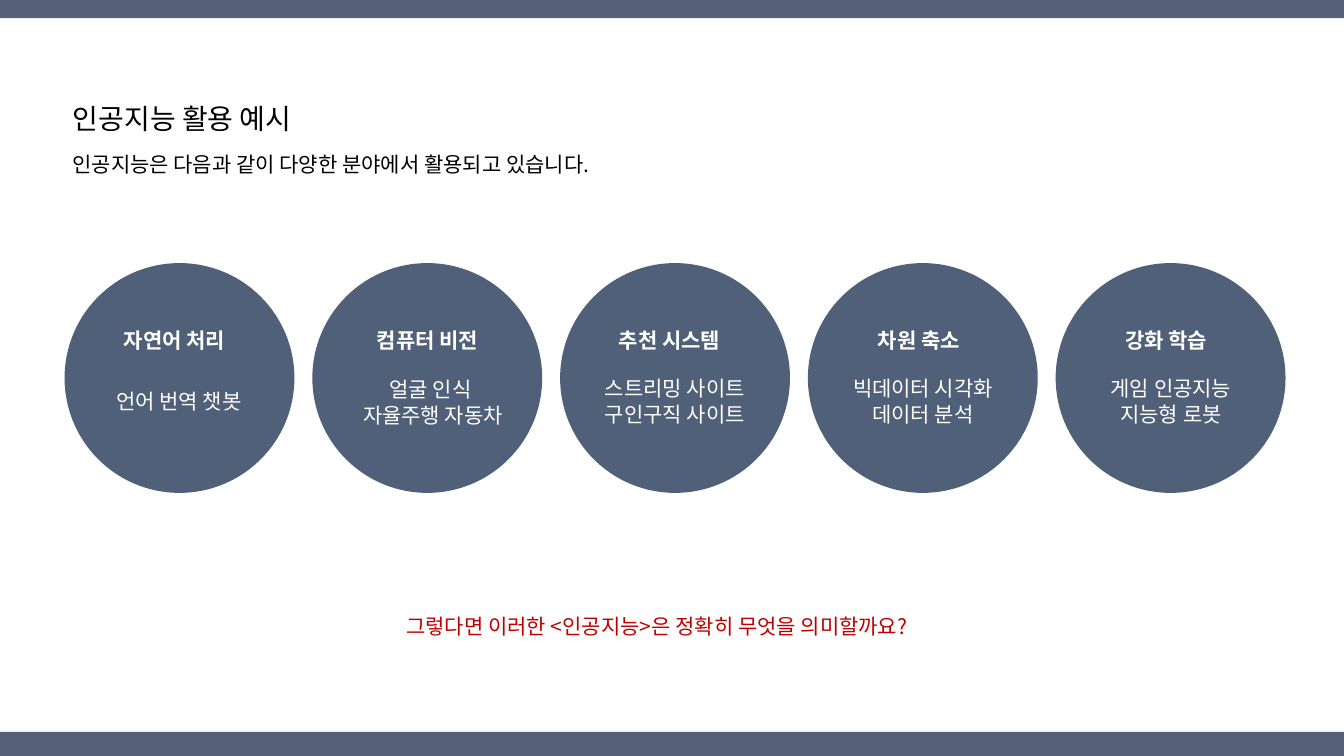
from pptx import Presentation
from pptx.dml.color import RGBColor
from pptx.enum.shapes import MSO_SHAPE
from pptx.enum.text import MSO_ANCHOR, MSO_AUTO_SIZE, PP_ALIGN
from pptx.oxml.ns import qn
from pptx.util import Inches, Pt
from lxml.etree import SubElement

FONT = "Noto Sans CJK KR"
WHITE = "FFFFFF"
BLACK = "000000"
RED = "C00000"
BAR_COLOR = "556078"
CIRCLE_COLOR = "506078"
CIRCLE_LEFT, CIRCLE_TOP, CIRCLE_SIZE, CIRCLE_PITCH = 0.64, 2.61, 2.28, 2.4575

FIELDS = [
    ("자연어 처리", (1.13, 3.2, 1.3, 0.35),
     ["언어 번역 챗봇"], (0.96, 3.81, 1.63, 0.35)),
    ("컴퓨터 비전", (3.64, 3.2, 1.3, 0.35),
     ["얼굴 인식 ", "자율주행 자동차"], (3.46, 3.69, 1.67, 0.61)),
    ("추천 시스템", (6.04, 3.2, 1.3, 0.35),
     ["스트리밍 사이트", "구인구직 사이트"], (5.86, 3.68, 1.67, 0.61)),
    ("차원 축소", (8.61, 3.2, 1.1, 0.35),
     ["빅데이터 시각화", "데이터 분석"], (8.32, 3.68, 1.67, 0.61)),
    ("강화 학습", (11.06, 3.2, 1.1, 0.35),
     ["게임 인공지능", "지능형 로봇"], (10.88, 3.68, 1.47, 0.61)),
]


def color(hex_string):
    return RGBColor.from_string(hex_string)


def add_filled_shape(slide, kind, box, fill):
    shape = slide.shapes.add_shape(kind, *map(Inches, box))
    shape.shadow.inherit = False
    shape.fill.solid()
    shape.fill.fore_color.rgb = color(fill)
    shape.line.fill.background()


def write_lines(shape, lines, size, text_color, bold=False, alignment=PP_ALIGN.LEFT):
    frame = shape.text_frame
    frame.word_wrap = False
    frame.auto_size = MSO_AUTO_SIZE.SHAPE_TO_FIT_TEXT
    frame.vertical_anchor = MSO_ANCHOR.TOP
    for index, line in enumerate(lines):
        paragraph = frame.add_paragraph() if index else frame.paragraphs[0]
        paragraph.alignment = alignment
        run = paragraph.add_run()
        run.text = line
        run.font.size = Pt(size)
        run.font.bold = bold
        run.font.color.rgb = color(text_color)
        run.font.name = FONT
        SubElement(run.font._element, qn("a:ea"), typeface=FONT)


def add_text(slide, box, lines, text_color, **style):
    text_box = slide.shapes.add_textbox(*map(Inches, box))
    write_lines(text_box, lines, 15, text_color, **style)


def set_title(slide, box, text):
    title = slide.shapes.title
    title.left, title.top, title.width, title.height = map(Inches, box)
    write_lines(title, [text], 20, BLACK)


def main():
    presentation = Presentation()
    presentation.slide_width = Inches(13.33)
    presentation.slide_height = Inches(7.5)
    slide = presentation.slides.add_slide(presentation.slide_layouts[5])

    for top in (7.26, -0.06):
        add_filled_shape(slide, MSO_SHAPE.RECTANGLE, (0, top, 13.33, 0.24), BAR_COLOR)

    set_title(slide, (0.62, 0.96, 2.53, 0.44), "인공지능 활용 예시")
    add_text(slide, (0.62, 1.45, 5.68, 0.35),
             ["인공지능은 다음과 같이 다양한 분야에서 활용되고 있습니다."], BLACK)

    for index, (heading, heading_box, examples, examples_box) in enumerate(FIELDS):
        left = CIRCLE_LEFT + index * CIRCLE_PITCH
        add_filled_shape(slide, MSO_SHAPE.OVAL,
                         (left, CIRCLE_TOP, CIRCLE_SIZE, CIRCLE_SIZE), CIRCLE_COLOR)
        add_text(slide, heading_box, [heading], WHITE, bold=True)
        add_text(slide, examples_box, examples, WHITE, alignment=PP_ALIGN.CENTER)

    add_text(slide, (3.93, 6.04, 5.51, 0.35),
             ["그렇다면 이러한 <인공지능>은 정확히 무엇을 의미할까요?"], RED)

    presentation.save("out.pptx")


if __name__ == "__main__":
    main()
